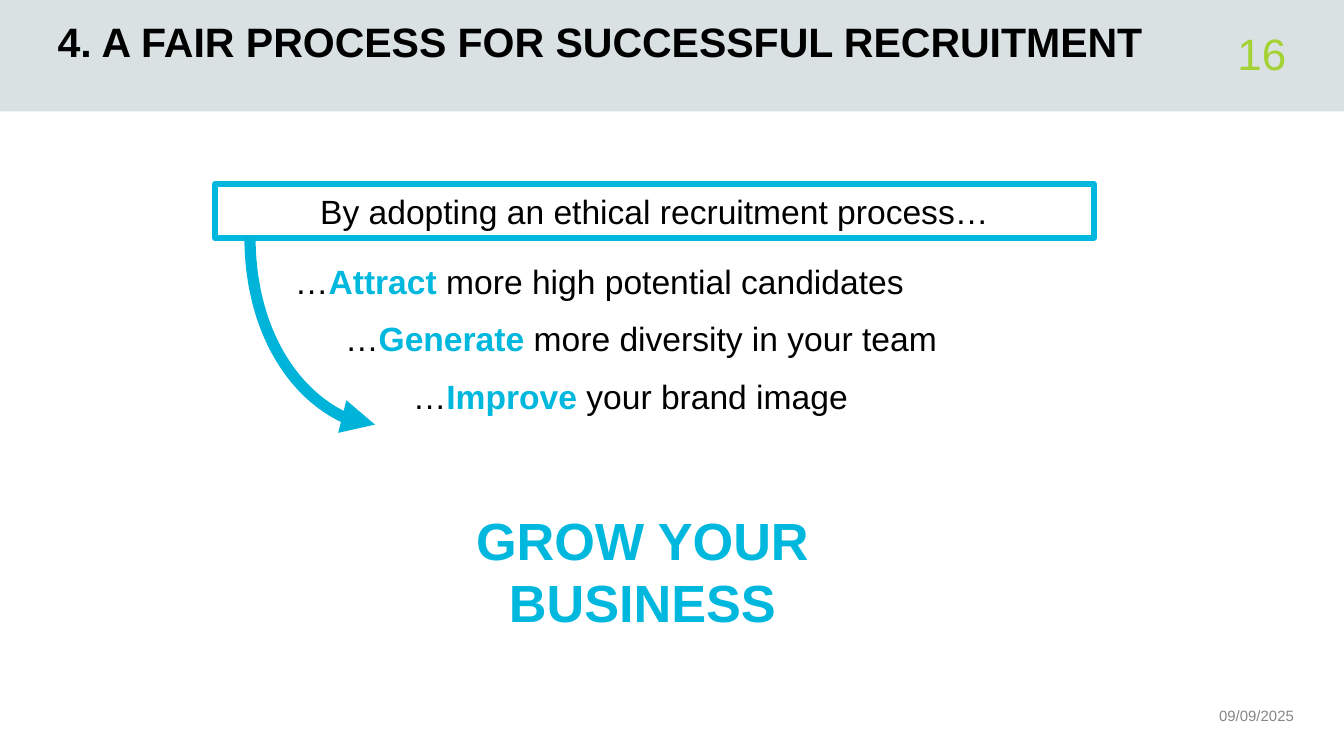
from lxml import etree
from pptx import Presentation
from pptx.dml.color import RGBColor
from pptx.enum.shapes import MSO_CONNECTOR, MSO_SHAPE
from pptx.enum.text import MSO_ANCHOR, MSO_AUTO_SIZE, PP_ALIGN
from pptx.oxml.ns import qn
from pptx.util import Inches, Pt

BLACK = RGBColor(0x00, 0x00, 0x00)
WHITE = RGBColor(0xFF, 0xFF, 0xFF)
BAND_GREY = RGBColor(0xD9, 0xE1, 0xE2)
DATE_GREY = RGBColor(0x87, 0x87, 0x87)
LIME = RGBColor(0xA4, 0xD2, 0x33)
CYAN = RGBColor(0x00, 0xB8, 0xDE)
ARROW_CYAN = RGBColor(0x00, 0xB4, 0xD9)

FONT = "Arial"
SLIDE_WIDTH = 10
SLIDE_HEIGHT = SLIDE_WIDTH * 9 / 16
BOX_WIDTH, BOX_HEIGHT = 6.54, 0.4
BENEFIT_TOP, BENEFIT_STEP = 1.89, 0.43
BENEFITS = [
    (1.19, "Attract", " more high potential candidates"),
    (1.5, "Generate", " more diversity in your team"),
    (1.42, "Improve", " your brand image"),
]


def set_attributes(target, values):
    for name, value in values.items():
        setattr(target, name, value)


def write_runs(frame, runs, size, align):
    """Fill the first paragraph with (text, colour, bold) runs."""
    paragraph = frame.paragraphs[0]
    paragraph.alignment = align
    for text, color, bold in runs:
        run = paragraph.add_run()
        run.text = text
        set_attributes(run.font, {"name": FONT, "size": Pt(size), "bold": bold})
        run.font.color.rgb = color


def add_label(slide, place, run, size, align, anchor):
    label = slide.shapes.add_textbox(*map(Inches, place))
    set_attributes(label.text_frame, {
        "word_wrap": True, "vertical_anchor": anchor,
        "margin_left": 0, "margin_right": 0, "margin_top": 0, "margin_bottom": 0,
    })
    write_runs(label.text_frame, [run], size, align)


def add_panel(slide, place, fill, border=None):
    panel = slide.shapes.add_shape(MSO_SHAPE.RECTANGLE, *map(Inches, place))
    panel.shadow.inherit = False
    panel.fill.solid()
    panel.fill.fore_color.rgb = fill
    if border is None:
        panel.line.fill.background()
    else:
        panel.line.color.rgb = border
        panel.line.width = Pt(3)
    return panel


def add_statement(slide, place, runs, size=18, border=None):
    statement = add_panel(slide, place, WHITE, border)
    set_attributes(statement.text_frame, {
        "word_wrap": True, "vertical_anchor": MSO_ANCHOR.TOP,
        "auto_size": MSO_AUTO_SIZE.SHAPE_TO_FIT_TEXT,
    })
    write_runs(statement.text_frame, runs, size, PP_ALIGN.CENTER)


def add_sweeping_arrow(slide, start, end):
    """Draw a quarter curve that leaves downwards and arrives rightwards."""
    (x1, y1), (x2, y2) = start, end
    center_x, center_y = (x1 + x2) / 2, (y1 + y2) / 2
    # The frame is turned by 270 degrees, so its sides are swapped.
    half_width, half_height = (y2 - y1) / 2, (x2 - x1) / 2
    arrow = slide.shapes.add_connector(
        MSO_CONNECTOR.CURVE,
        Inches(center_x + half_width), Inches(center_y - half_height),
        Inches(center_x - half_width), Inches(center_y + half_height))
    arrow.line.color.rgb = ARROW_CYAN
    arrow.line.width = Pt(6)
    properties = arrow._element.spPr
    properties.find(qn("a:xfrm")).set("rot", str(270 * 60000))
    properties.find(qn("a:prstGeom")).set("prst", "curvedConnector2")
    etree.SubElement(properties.find(qn("a:ln")), qn("a:tailEnd"), type="triangle")
    etree.SubElement(properties, qn("a:effectLst"))


def main():
    deck = Presentation()
    set_attributes(deck, {"slide_width": Inches(SLIDE_WIDTH),
                          "slide_height": Inches(SLIDE_HEIGHT)})
    slide = deck.slides.add_slide(deck.slide_layouts[6])

    add_panel(slide, (0, 0, SLIDE_WIDTH, 0.83), BAND_GREY)
    add_label(slide, (0.43, 0, 9.14, 0.49),
              ("4. A FAIR PROCESS FOR SUCCESSFUL RECRUITMENT", BLACK, True),
              22, PP_ALIGN.LEFT, MSO_ANCHOR.BOTTOM)
    add_label(slide, (8.83, 5.06, 1.04, 0.33), ("09/09/2025", DATE_GREY, False),
              8, PP_ALIGN.CENTER, MSO_ANCHOR.BOTTOM)
    add_label(slide, (8.34, 0.23, 1.23, 0.33), ("16", LIME, False),
              23.5, PP_ALIGN.RIGHT, MSO_ANCHOR.MIDDLE)

    add_statement(slide, (1.6, 1.37, BOX_WIDTH, BOX_HEIGHT),
                  [("By adopting an ethical recruitment process…", BLACK, False)],
                  border=CYAN)
    for row, (left, verb, outcome) in enumerate(BENEFITS):
        add_statement(slide,
                      (left, BENEFIT_TOP + row * BENEFIT_STEP, BOX_WIDTH, BOX_HEIGHT),
                      [("…", BLACK, False), (verb, CYAN, True), (outcome, BLACK, False)])
    add_statement(slide, (2.45, 3.73, 4.66, 1.04),
                  [("GROW YOUR BUSINESS", CYAN, True)], size=28)
    add_sweeping_arrow(slide, (1.86, 1.76), (2.79, 3.16))

    deck.save("out.pptx")


if __name__ == "__main__":
    main()
